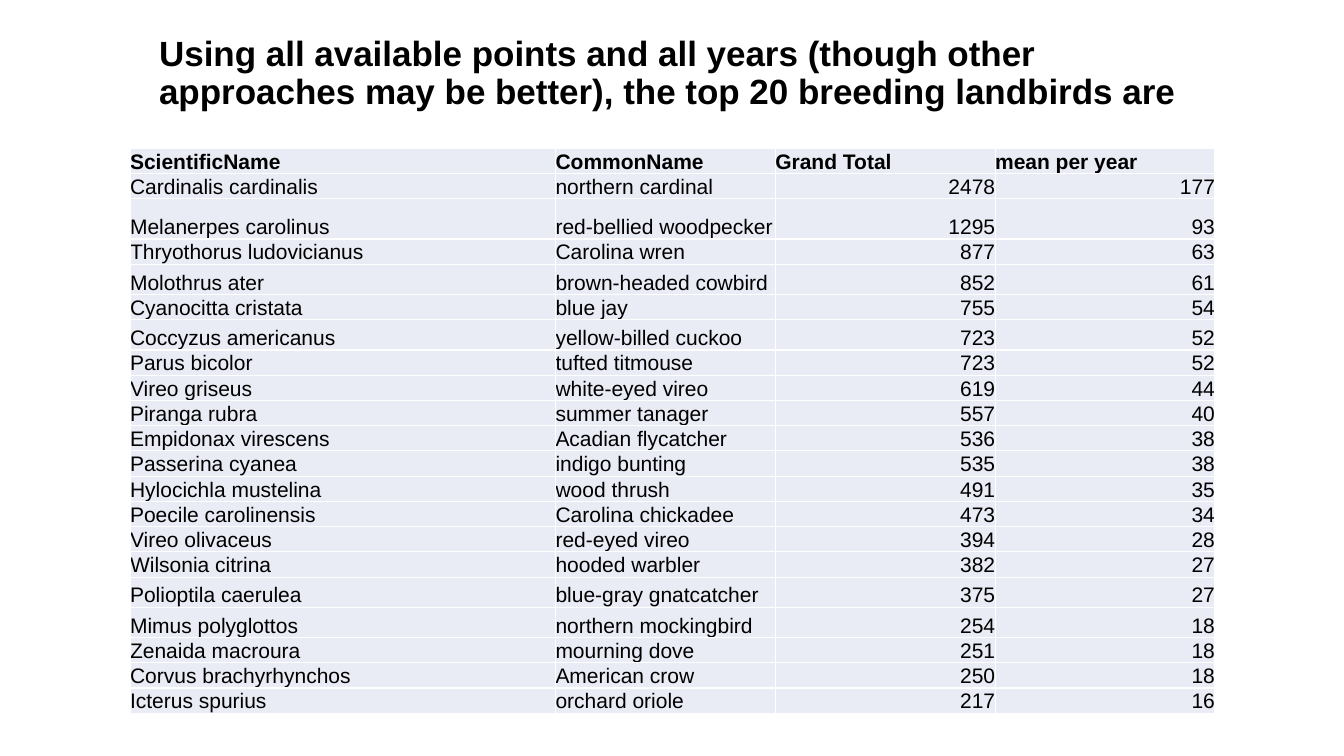
"""Build a slide with a table of the twenty most counted breeding landbirds."""
from typing import NamedTuple

from lxml.etree import SubElement
from pptx import Presentation
from pptx.dml.color import RGBColor
from pptx.enum.text import MSO_ANCHOR, PP_ALIGN
from pptx.oxml.ns import qn
from pptx.slide import Slide
from pptx.table import _Cell
from pptx.text.text import TextFrame
from pptx.util import Inches, Pt

COLORS = {"text": "000000", "cell": "E9EBF5", "border": "FFFFFF"}
FONT = "Arial"
TITLE = ("Using all available points and all years (though other approaches "
         "may be better), the top 20 breeding landbirds are")
HEADERS = ("ScientificName", "CommonName", "Grand Total", "mean per year")
COLUMN_WIDTHS = (4.22, 2.18, 2.18, 2.18)
HEADER_HEIGHT = 0.18


class Bird(NamedTuple):
    scientific_name: str
    common_name: str
    total: int
    yearly_mean: int
    row_height: float = 0.2


BIRDS = (
    Bird("Cardinalis cardinalis", "northern cardinal", 2478, 177),
    Bird("Melanerpes carolinus", "red-bellied woodpecker", 1295, 93, 0.4),
    Bird("Thryothorus ludovicianus", "Carolina wren", 877, 63),
    Bird("Molothrus ater", "brown-headed cowbird", 852, 61, 0.3),
    Bird("Cyanocitta cristata", "blue jay", 755, 54, 0.11),
    Bird("Coccyzus americanus", "yellow-billed cuckoo", 723, 52, 0.3),
    Bird("Parus bicolor", "tufted titmouse", 723, 52),
    Bird("Vireo griseus", "white-eyed vireo", 619, 44),
    Bird("Piranga rubra", "summer tanager", 557, 40),
    Bird("Empidonax virescens", "Acadian flycatcher", 536, 38),
    Bird("Passerina cyanea", "indigo bunting", 535, 38),
    Bird("Hylocichla mustelina", "wood thrush", 491, 35),
    Bird("Poecile carolinensis", "Carolina chickadee", 473, 34),
    Bird("Vireo olivaceus", "red-eyed vireo", 394, 28),
    Bird("Wilsonia citrina", "hooded warbler", 382, 27),
    Bird("Polioptila caerulea", "blue-gray gnatcatcher", 375, 27, 0.3),
    Bird("Mimus polyglottos", "northern mockingbird", 254, 18, 0.3),
    Bird("Zenaida macroura", "mourning dove", 251, 18),
    Bird("Corvus brachyrhynchos", "American crow", 250, 18),
    Bird("Icterus spurius", "orchard oriole", 217, 16),
)


def write_text(frame: TextFrame, text: str, *, size: float, bold: bool = False,
               align: PP_ALIGN = PP_ALIGN.LEFT, line_spacing: float = 1.0) -> None:
    paragraph = frame.paragraphs[0]
    paragraph.alignment = align
    paragraph.line_spacing = line_spacing
    run = paragraph.add_run()
    run.text = text
    run.font.name = FONT
    run.font.size = Pt(size)
    run.font.bold = bold
    run.font.color.rgb = RGBColor.from_string(COLORS["text"])


def style_cell(cell: _Cell) -> None:
    cell.margin_left = cell.margin_right = cell.margin_top = cell.margin_bottom = 0
    cell.vertical_anchor = MSO_ANCHOR.BOTTOM
    properties = cell._tc.get_or_add_tcPr()
    for side in ("lnL", "lnR", "lnT", "lnB"):
        line = SubElement(properties, qn(f"a:{side}"), w=str(Pt(1)))
        fill = SubElement(line, qn("a:solidFill"))
        SubElement(fill, qn("a:srgbClr"), val=COLORS["border"])
    cell.fill.solid()
    cell.fill.fore_color.rgb = RGBColor.from_string(COLORS["cell"])


def add_title(slide: Slide) -> None:
    shape = slide.shapes.add_textbox(Inches(1.48), Inches(0.04), Inches(10.76), Inches(1.12))
    shape.text_frame.word_wrap = True
    shape.text_frame.vertical_anchor = MSO_ANCHOR.BOTTOM
    write_text(shape.text_frame, TITLE, size=25, bold=True, line_spacing=0.9)


def add_bird_table(slide: Slide) -> None:
    shape = slide.shapes.add_table(len(BIRDS) + 1, len(HEADERS), Inches(1.29), Inches(1.47),
                                   Inches(10.76), Inches(5.64))
    table = shape.table
    table.horz_banding = False
    for column, width in zip(table.columns, COLUMN_WIDTHS):
        column.width = Inches(width)
    heights = (HEADER_HEIGHT, *(bird.row_height for bird in BIRDS))
    contents = (HEADERS, *(bird[:len(HEADERS)] for bird in BIRDS))
    for row, height, values in zip(table.rows, heights, contents):
        row.height = Inches(height)
        for cell, value in zip(row.cells, values):
            style_cell(cell)
            write_text(cell.text_frame, str(value), size=15, bold=values is HEADERS,
                       align=PP_ALIGN.RIGHT if isinstance(value, int) else PP_ALIGN.LEFT)
    shape.height = Inches(5.64)


def main() -> None:
    presentation = Presentation()
    presentation.slide_width = Inches(13.33)
    presentation.slide_height = Inches(7.5)
    slide = presentation.slides.add_slide(presentation.slide_layouts[6])
    add_title(slide)
    add_bird_table(slide)
    presentation.save("out.pptx")


if __name__ == "__main__":
    main()
